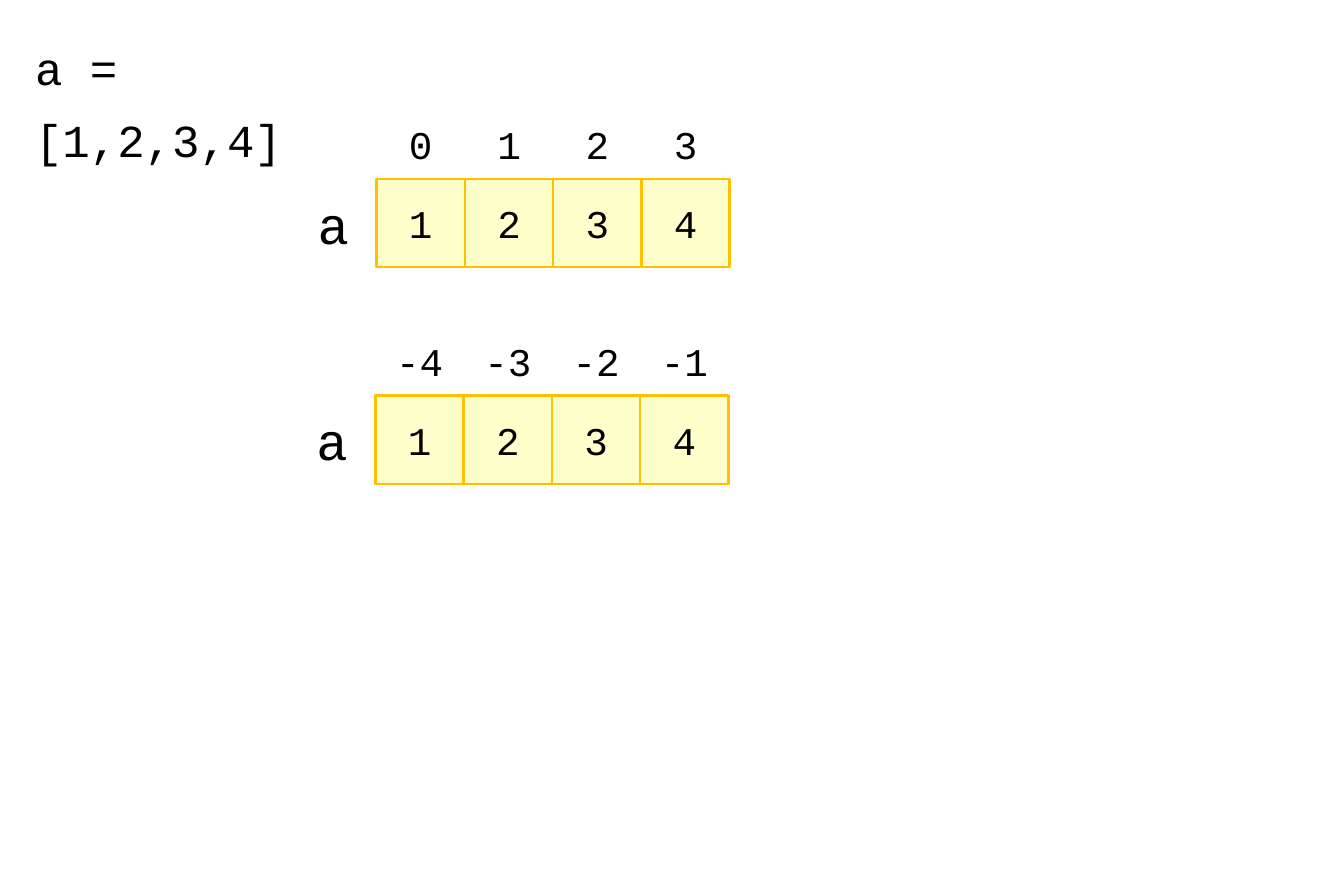
from dataclasses import dataclass

from pptx import Presentation
from pptx import util as u
from pptx.dml import color
from pptx.enum import shapes, text


@dataclass(frozen=True)
class Theme:
    font: str = "Courier New"
    ink: str = "000000"
    cell_fill: str = "FFFFCC"
    cell_line: str = "FFC000"
    code_size: int = 28
    name_size: int = 32
    cell_size: int = 24
    line_width: float = 1.5


THEME = Theme()
CELL = 0.75
INDEX_RISE = 0.67
VALUES = ["1", "2", "3", "4"]
CENTRED = {"alignment": text.PP_ALIGN.CENTER}
SPACED = {"alignment": text.PP_ALIGN.LEFT, "line_spacing": 1.3}
MIDDLE = {"word_wrap": True, "vertical_anchor": text.MSO_ANCHOR.MIDDLE}
GROWING = {"word_wrap": True, "auto_size": text.MSO_AUTO_SIZE.SHAPE_TO_FIT_TEXT}


def apply_format(target, values):
    for name, value in values.items():
        setattr(target, name, value)


def write(shape, words, size, frame_format, para_format):
    frame = shape.text_frame
    apply_format(frame, frame_format)
    para = frame.paragraphs[0]
    apply_format(para, para_format)
    span = para.add_run()
    span.text = words
    apply_format(span.font, {"name": THEME.font, "size": u.Pt(size)})
    span.font.color.rgb = color.RGBColor.from_string(THEME.ink)


def add_text(page, box, words, size, frame_format, para_format):
    label = page.shapes.add_textbox(*map(u.Inches, box))
    write(label, words, size, frame_format, para_format)


def add_cell(page, box, value):
    cell = page.shapes.add_shape(shapes.MSO_SHAPE.RECTANGLE, *map(u.Inches, box))
    cell.shadow.inherit = False
    cell.fill.solid()
    cell.fill.fore_color.rgb = color.RGBColor.from_string(THEME.cell_fill)
    cell.line.color.rgb = color.RGBColor.from_string(THEME.cell_line)
    cell.line.width = u.Pt(THEME.line_width)
    write(cell, value, THEME.cell_size, MIDDLE, CENTRED)


def add_list_row(page, left, top, indices):
    """Draw the named list with its first cell at left, top and indices above."""
    add_text(page, (left - 0.6, top - 0.1, 0.45, 0.74), "a",
             THEME.name_size, GROWING, SPACED)
    for column, (index, value) in enumerate(zip(indices, VALUES)):
        x = left + column * CELL
        add_cell(page, (x, top, CELL, CELL), value)
        add_text(page, (x, top - INDEX_RISE, CELL, CELL), index,
                 THEME.cell_size, MIDDLE, CENTRED)


def main():
    deck = Presentation()
    deck.slide_width, deck.slide_height = u.Inches(11.42), u.Inches(7.5)
    page = deck.slides.add_slide(deck.slide_layouts[6])
    add_text(page, (0.2, 0.15, 3.01, 1.27), "a = [1,2,3,4]",
             THEME.code_size, GROWING, SPACED)
    add_list_row(page, 3.2, 1.52, ["0", "1", "2", "3"])
    add_list_row(page, 3.19, 3.36, ["-4", "-3", "-2", "-1"])
    deck.save("out.pptx")


if __name__ == "__main__":
    main()
